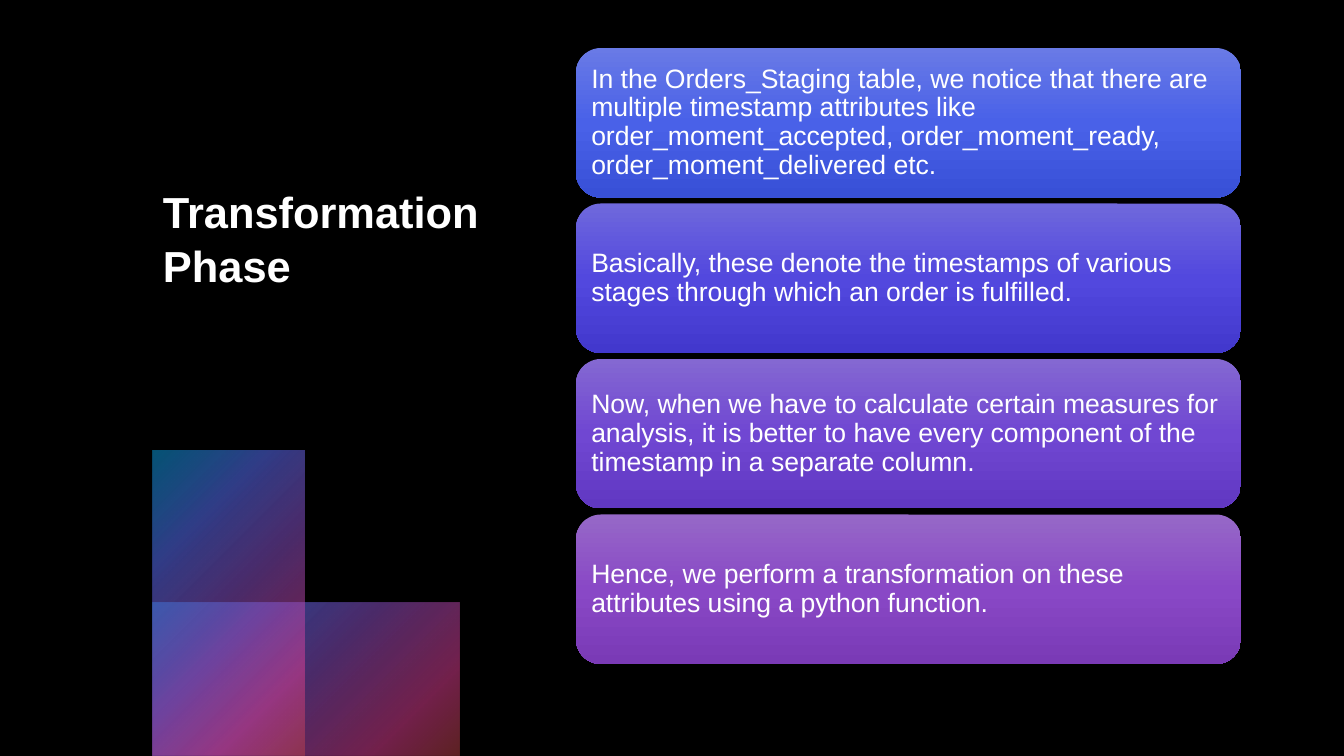
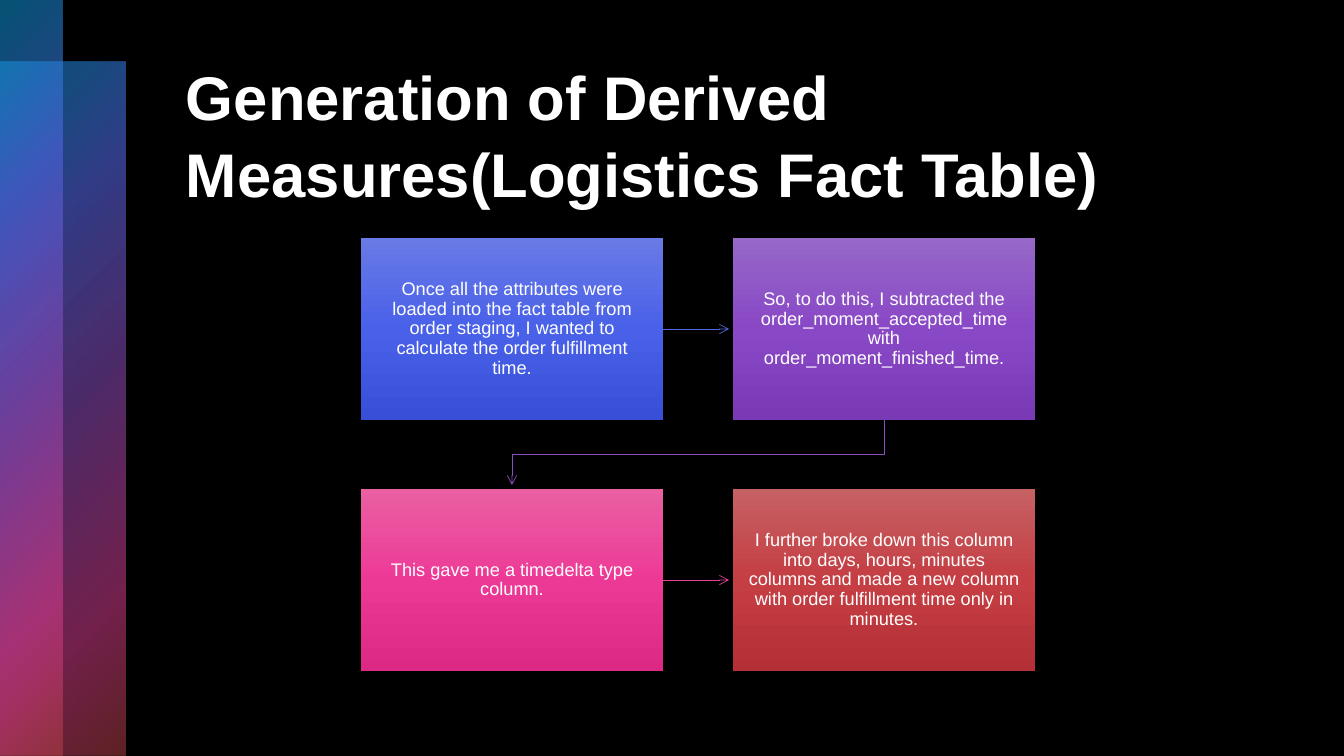
from lxml.etree import Element, SubElement
from pptx import Presentation
from pptx.dml.color import RGBColor
from pptx.enum.shapes import MSO_CONNECTOR as CONNECTOR, MSO_SHAPE as SHAPE
from pptx.enum.text import MSO_ANCHOR as ANCHOR, PP_ALIGN as ALIGN
from pptx.oxml.ns import qn
from pptx.util import Pt

PX = 914400 / 100.8
FONT = "Arial"
BLACK = RGBColor(0x00, 0x00, 0x00)
WHITE = RGBColor(0xFF, 0xFF, 0xFF)
SKY = RGBColor(0x0B, 0xA5, 0xE8)
BLUE = RGBColor(0x50, 0x66, 0xE1)
PURPLE = RGBColor(0x89, 0x4E, 0xC0)
PINK = RGBColor(0xE5, 0x41, 0x96)
RED = RGBColor(0xBE, 0x44, 0x49)


def vertical_fade(*colors):
    return [(position, RGBColor.from_string(color), 100)
            for position, color in zip((0, 50, 100), colors)]


BLUE_FADE = vertical_fade("697AE6", "4961E8", "3850D7")
INDIGO_FADE = vertical_fade("6F68DC", "5248DE", "4238CD")
VIOLET_FADE = vertical_fade("8468D2", "7047D2", "6138C2")
PURPLE_FADE = vertical_fade("9668C7", "8948C6", "7A3AB6")
PINK_FADE = vertical_fade("EA60A2", "ED3996", "DC2986")
RED_FADE = vertical_fade("C66164", "C43E43", "B53036")
GLOW = [(0, SKY, 50), (25, BLUE, 60), (50, PURPLE, 55), (81, PINK, 50), (99, RED, 50)]

STAGES = [
    ("In the Orders_Staging table, we notice that there are multiple timestamp attributes like "
     "order_moment_accepted, order_moment_ready, order_moment_delivered etc.", BLUE_FADE),
    ("Basically, these denote the timestamps of various stages through which an order is "
     "fulfilled.", INDIGO_FADE),
    ("Now, when we have to calculate certain measures for analysis, it is better to have every "
     "component of the timestamp in a separate column.", VIOLET_FADE),
    ("Hence, we perform a transformation on these attributes using a python function.",
     PURPLE_FADE),
]
MEASURES = [
    ("Once all the attributes were loaded into the fact table from order staging, I wanted to "
     "calculate the order fulfillment time.", BLUE_FADE),
    ("So, to do this, I subtracted the order_moment_accepted_time with "
     "order_moment_finished_time.", PURPLE_FADE),
    ("This gave me a timedelta type column.", PINK_FADE),
    ("I further broke down this column into days, hours, minutes columns and made a new column "
     "with order fulfillment time only in minutes.", RED_FADE),
]


def px(value):
    return round(value * PX)


def set_gradient(shape, stops, from_corner=False):
    shape.fill.background()
    properties = shape._element.spPr
    gradient = Element(qn("a:gradFill"), rotWithShape="1")
    stop_list = SubElement(gradient, qn("a:gsLst"))
    for position, color, opacity in stops:
        stop = SubElement(stop_list, qn("a:gs"), pos=str(position * 1000))
        value = SubElement(stop, qn("a:srgbClr"), val=str(color))
        if opacity < 100:
            SubElement(value, qn("a:alpha"), val=str(opacity * 1000))
    if from_corner:
        focus = SubElement(gradient, qn("a:path"), path="circle")
        SubElement(focus, qn("a:fillToRect"), r="100000", b="100000")
    else:
        SubElement(gradient, qn("a:lin"), ang="5400000", scaled="0")
    properties.replace(properties.find(qn("a:noFill")), gradient)


def add_panel(slide, box, stops, kind=SHAPE.RECTANGLE, from_corner=False):
    shape = slide.shapes.add_shape(kind, *map(px, box))
    shape.shadow.inherit = False
    shape.line.fill.background()
    set_gradient(shape, stops, from_corner)
    return shape


def write_text(shape, text, size, bold=False, align=ALIGN.LEFT, anchor=ANCHOR.MIDDLE,
               insets=(10, 5), spacing=0.9):
    frame = shape.text_frame
    frame.word_wrap = True
    frame.vertical_anchor = anchor
    frame.margin_left = frame.margin_right = px(insets[0])
    frame.margin_top = frame.margin_bottom = px(insets[1])
    paragraph = frame.paragraphs[0]
    paragraph.text = text
    paragraph.alignment = align
    paragraph.line_spacing = spacing
    font = paragraph.font
    font.name, font.size, font.bold = FONT, Pt(size), bold
    font.color.rgb = WHITE


def add_title(slide, box, text, size, anchor):
    title = slide.shapes.add_textbox(*map(px, box))
    write_text(title, text, size, bold=True, anchor=anchor, spacing=1.05)


def add_glow_pair(slide, *boxes):
    for box in boxes:
        add_panel(slide, box, GLOW, from_corner=True)


def style_arrow(shape, color):
    shape.line.color.rgb = color
    shape.line.width = Pt(0.5)
    SubElement(shape.line._get_or_add_ln(), qn("a:tailEnd"), type="arrow")


def add_stage_stack(slide, box, gap=6):
    left, top, width, height = box
    row_height = (height - gap * (len(STAGES) - 1)) / len(STAGES)
    for row, (text, fade) in enumerate(STAGES):
        row_box = left, top + row * (row_height + gap), width, row_height
        bar = add_panel(slide, row_box, fade, SHAPE.ROUNDED_RECTANGLE)
        write_text(bar, text, 19, insets=(8, 8))


def add_row_arrow(slide, card, end_x, end_y, color):
    arrow = slide.shapes.add_connector(CONNECTOR.STRAIGHT, 0, 0, px(end_x), px(end_y))
    arrow.begin_connect(card, 3)
    SubElement(arrow._element.spPr, qn("a:effectLst"))
    style_arrow(arrow, color)
    properties = arrow._element.spPr
    properties.append(properties.find(qn("a:effectLst")))


def add_return_arrow(slide, points, color):
    builder = slide.shapes.build_freeform(*points[0], scale=PX)
    builder.add_line_segments(points[1:], close=False)
    arrow = builder.convert_to_shape()
    arrow.shadow.inherit = False
    arrow.fill.background()
    style_arrow(arrow, color)


def add_measure_flow(slide, box, gap_x=70, gap_y=69, clearance=4):
    left, top, width, height = box
    card_width, card_height = (width - gap_x) / 2, (height - gap_y) / 2
    right, lower = left + card_width + gap_x, top + card_height + gap_y
    cards = []
    for index, (text, fade) in enumerate(MEASURES):
        row, column = divmod(index, 2)
        card_box = (left, right)[column], (top, lower)[row], card_width, card_height
        card = add_panel(slide, card_box, fade)
        write_text(card, text, 13, align=ALIGN.CENTER, insets=(15, 15))
        cards.append(card)
    for card, row_top, color in ((cards[0], top, BLUE), (cards[2], lower, PINK)):
        add_row_arrow(slide, card, right - clearance, row_top + card_height / 2, color)
    start_x, end_x = right + card_width / 2, left + card_width / 2
    turn_y = lower - gap_y / 2
    add_return_arrow(slide, [(start_x, top + card_height), (start_x, turn_y),
                             (end_x, turn_y), (end_x, lower - clearance)], PURPLE)


def add_black_slide(presentation):
    slide = presentation.slides.add_slide(presentation.slide_layouts[6])
    background = slide.background.fill
    background.solid()
    background.fore_color.rgb = BLACK
    return slide


def build_transformation(presentation):
    slide = add_black_slide(presentation)
    add_glow_pair(slide, (153, 603, 306, 153), (153, 451, 152, 305))
    add_title(slide, (153, 50, 351, 374), "Transformation Phase", 31, ANCHOR.MIDDLE)
    add_stage_stack(slide, (576, 48, 665, 616))


def build_measures(presentation):
    slide = add_black_slide(presentation)
    add_glow_pair(slide, (0, 62, 126, 694), (0, 0, 63, 756))
    add_title(slide, (176, 50, 1045, 171),
              "Generation of Derived Measures(Logistics Fact Table)", 44, ANCHOR.TOP)
    add_measure_flow(slide, (361, 238, 674, 433))


def main():
    presentation = Presentation()
    presentation.slide_width, presentation.slide_height = px(1344), px(756)
    build_transformation(presentation)
    build_measures(presentation)
    presentation.save("out.pptx")


if __name__ == "__main__":
    main()
